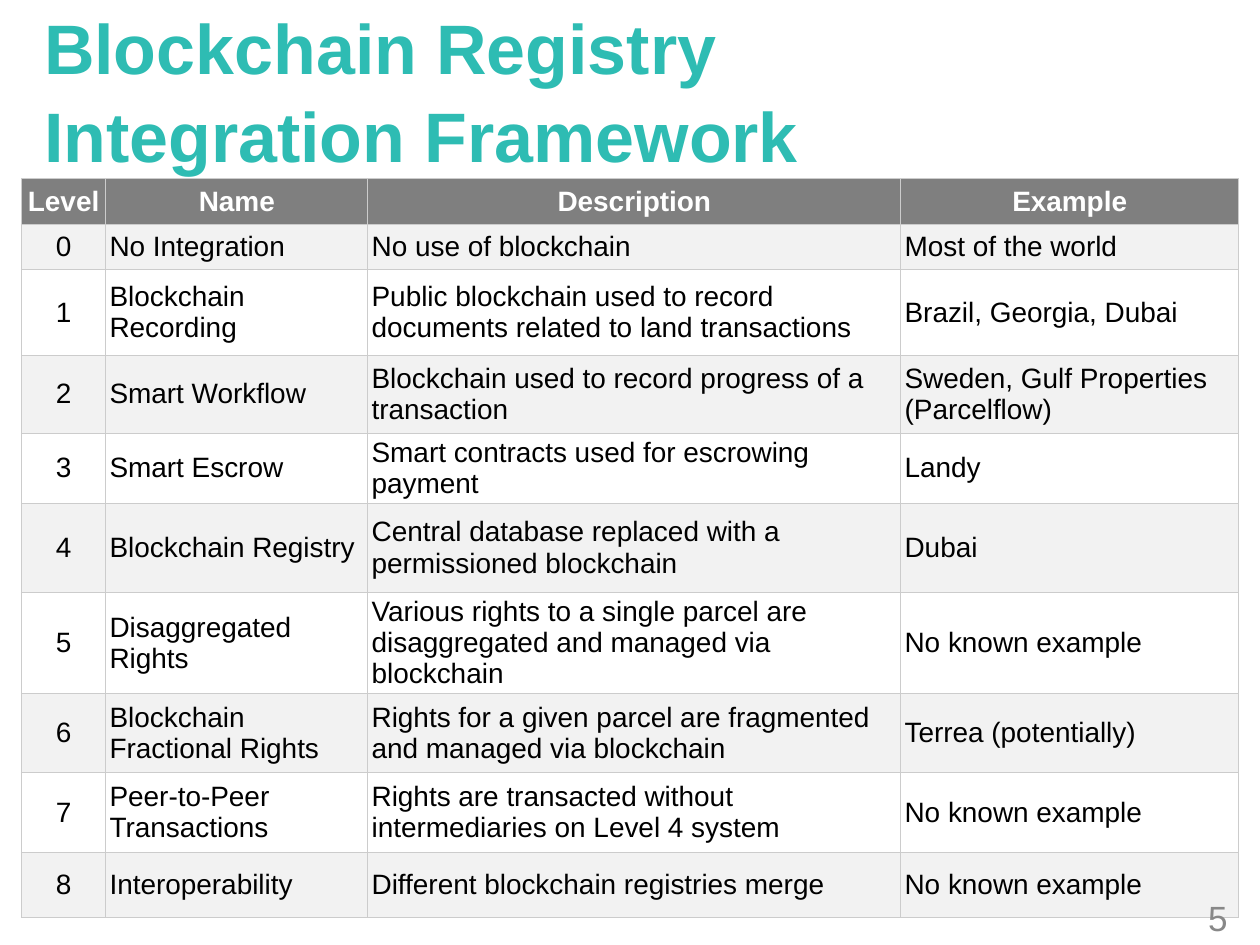
"""Build the slide with the table of blockchain registry integration levels."""
import dataclasses
import typing

import lxml.etree
import pptx
import pptx.dml.color
import pptx.enum.text
import pptx.oxml.ns
import pptx.util

Inches = pptx.util.Inches
ALIGN = pptx.enum.text.PP_ALIGN
MIDDLE = pptx.enum.text.MSO_ANCHOR.MIDDLE
COLUMN_WIDTHS = (0.67, 2.08, 4.23, 2.68)
HEADINGS = ("Level", "Name", "Description", "Example")
HEADING_HEIGHT = 0.36
GREY, BAND, BORDER = "7F7F7F", "F2F2F2", "CCCCCC"


@dataclasses.dataclass(frozen=True)
class Level:
    name: str
    description: str
    example: str
    height: float


LEVELS = (
    Level("No Integration", "No use of blockchain", "Most of the world", 0.36),
    Level("Blockchain Recording",
          "Public blockchain used to record documents related to land transactions",
          "Brazil, Georgia, Dubai", 0.68),
    Level("Smart Workflow", "Blockchain used to record progress of a transaction",
          "Sweden, Gulf Properties (Parcelflow)", 0.62),
    Level("Smart Escrow", "Smart contracts used for escrowing payment", "Landy", 0.55),
    Level("Blockchain Registry",
          "Central database replaced with a permissioned blockchain", "Dubai", 0.71),
    Level("Disaggregated Rights",
          "Various rights to a single parcel are disaggregated and managed via blockchain",
          "No known example", 0.79),
    Level("Blockchain Fractional Rights",
          "Rights for a given parcel are fragmented and managed via blockchain",
          "Terrea (potentially)", 0.63),
    Level("Peer-to-Peer Transactions",
          "Rights are transacted without intermediaries on Level 4 system",
          "No known example", 0.63),
    Level("Interoperability", "Different blockchain registries merge",
          "No known example", 0.52),
)


def color(value: str) -> pptx.dml.color.RGBColor:
    return pptx.dml.color.RGBColor.from_string(value)


def apply(target: typing.Any, values: dict[str, typing.Any]) -> None:
    for name, value in values.items():
        setattr(target, name, value)


def format_paragraph(paragraph: typing.Any, size: float, fill: str,
                     bold: bool, alignment: typing.Any) -> None:
    paragraph.alignment = alignment
    for run in paragraph.runs:
        apply(run.font, {"name": "Arial", "size": pptx.util.Pt(size), "bold": bold})
        run.font.color.rgb = color(fill)


def add_borders(cell: typing.Any) -> None:
    properties = cell._tc.get_or_add_tcPr()
    qualify = pptx.oxml.ns.qn
    for index, side in enumerate(("lnL", "lnR", "lnT", "lnB")):
        line = lxml.etree.Element(qualify(f"a:{side}"), w=str(pptx.util.Pt(0.75)))
        solid = lxml.etree.SubElement(line, qualify("a:solidFill"))
        lxml.etree.SubElement(solid, qualify("a:srgbClr"), val=BORDER)
        properties.insert(index, line)


def fill_cell(cell: typing.Any, text: str, fill: str | None,
              heading: bool, centred: bool) -> None:
    cell.text = text
    margins = ("margin_left", "margin_right", "margin_top", "margin_bottom")
    apply(cell, dict.fromkeys(margins, Inches(0.03)) | {"vertical_anchor": MIDDLE})
    format_paragraph(cell.text_frame.paragraphs[0], 16,
                     "FFFFFF" if heading else "000000", heading,
                     ALIGN.CENTER if centred else ALIGN.LEFT)
    if fill:
        cell.fill.solid()
        cell.fill.fore_color.rgb = color(fill)
    else:
        cell.fill.background()
    add_borders(cell)


def add_title(slide: typing.Any) -> None:
    title = slide.shapes.title
    apply(title, {"left": Inches(0.25), "top": Inches(0.08),
                  "width": Inches(9), "height": Inches(1.25)})
    title.text_frame.text = "Blockchain Registry\vIntegration Framework"
    apply(title.text_frame, {"vertical_anchor": MIDDLE, "word_wrap": True,
                             "auto_size": pptx.enum.text.MSO_AUTO_SIZE.NONE})
    paragraph = title.text_frame.paragraphs[0]
    paragraph.line_spacing = 1.04
    format_paragraph(paragraph, 40, "2EBCB3", True, ALIGN.LEFT)


def add_level_table(slide: typing.Any) -> None:
    heights = [HEADING_HEIGHT] + [level.height for level in LEVELS]
    rows = [HEADINGS] + [(str(number), level.name, level.description, level.example)
                         for number, level in enumerate(LEVELS)]
    table = slide.shapes.add_table(
        len(rows), len(HEADINGS), Inches(0.17), Inches(1.42),
        Inches(sum(COLUMN_WIDTHS)), Inches(sum(heights))).table
    for column, width in zip(table.columns, COLUMN_WIDTHS):
        column.width = Inches(width)
    for row_index, (texts, height) in enumerate(zip(rows, heights)):
        table.rows[row_index].height = Inches(height)
        heading = row_index == 0
        fill = GREY if heading else BAND if row_index % 2 else None
        for column_index, text in enumerate(texts):
            fill_cell(table.cell(row_index, column_index), text, fill,
                      heading, heading or column_index == 0)


def add_page_number(slide: typing.Any) -> None:
    frame = slide.shapes.add_textbox(
        Inches(9.42), Inches(7.08), Inches(0.42), Inches(0.4)).text_frame
    apply(frame, {"text": "5", "word_wrap": True, "vertical_anchor": MIDDLE})
    format_paragraph(frame.paragraphs[0], 20, "888888", False, ALIGN.RIGHT)


def main() -> None:
    presentation = pptx.Presentation()
    apply(presentation, {"slide_width": Inches(10), "slide_height": Inches(7.5)})
    slide = presentation.slides.add_slide(presentation.slide_layouts[5])
    add_title(slide)
    add_level_table(slide)
    add_page_number(slide)
    presentation.save("out.pptx")


if __name__ == "__main__":
    main()
